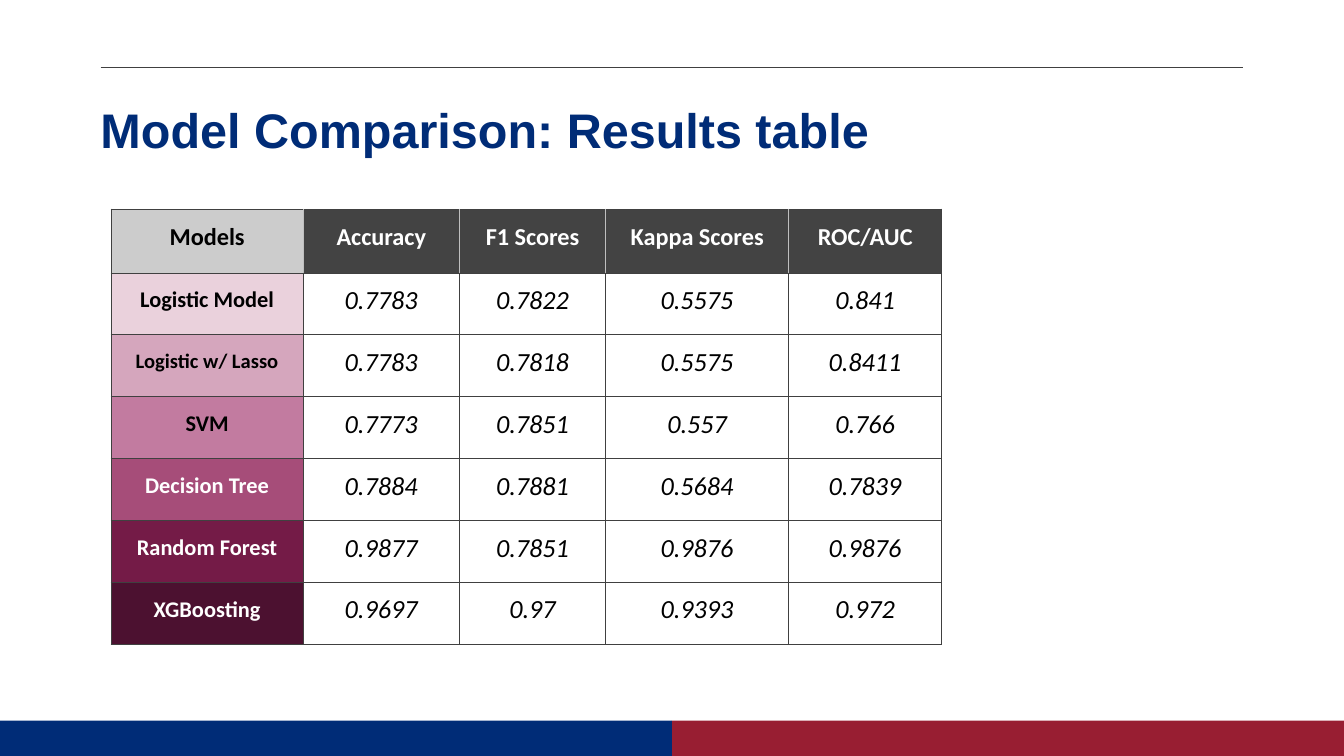
from lxml.etree import SubElement
from pptx import Presentation
from pptx.dml.color import RGBColor
from pptx.enum.shapes import MSO_CONNECTOR as Connector, MSO_SHAPE as Shape
from pptx.enum.text import MSO_ANCHOR as Anchor, PP_ALIGN as Align
from pptx.oxml.ns import qn
from pptx.util import Cm, Pt

NAVY, CRIMSON = "002C77", "981E32"
BLACK, WHITE, CHARCOAL, SILVER = "000000", "FFFFFF", "404040", "BFBFBF"

HEADINGS = ["Models", "Accuracy", "F1 Scores", "Kappa Scores", "ROC/AUC"]
COLUMN_WIDTHS = [3.63, 2.95, 2.77, 3.45, 2.9]
MODELS = [
    ("Logistic Model", 12, BLACK, "EAD1DC", ["0.7783", "0.7822", "0.5575", "0.841"]),
    ("Logistic w/ Lasso", 11, BLACK, "D5A6BD", ["0.7783", "0.7818", "0.5575", "0.8411"]),
    ("SVM", 12, BLACK, "C27BA0", ["0.7773", "0.7851", "0.557", "0.766"]),
    ("Decision Tree", 12, WHITE, "A64D79", ["0.7884", "0.7881", "0.5684", "0.7839"]),
    ("Random Forest", 12, WHITE, "741B47", ["0.9877", "0.7851", "0.9876", "0.9876"]),
    ("XGBoosting", 12, WHITE, "4C1130", ["0.9697", "0.97", "0.9393", "0.972"]),
]


def rgb(value):
    return RGBColor.from_string(value)


def paint(target, colour):
    target.fill.solid()
    target.fill.fore_color.rgb = rgb(colour)


def write(frame, text, size, colour, font="Calibri", bold=False, italic=False,
          align=Align.CENTER, spacing=1.15):
    paragraph = frame.paragraphs[0]
    paragraph.alignment = align
    paragraph.line_spacing = spacing
    run = paragraph.add_run()
    run.text = text
    run.font.name = font
    run.font.size = Pt(size)
    run.font.bold = bold
    run.font.italic = italic
    run.font.color.rgb = rgb(colour)


class ResultsSlide:
    def __init__(self, slide):
        self.shapes = slide.shapes
        self.border_width = Pt(0.5)

    def band(self, left, top, width, height, colour):
        band = self.shapes.add_shape(Shape.RECTANGLE, Cm(left), Cm(top), Cm(width), Cm(height))
        band.shadow.inherit = False
        band.line.fill.background()
        paint(band, colour)

    def rule(self, left, right, y, colour):
        rule = self.shapes.add_connector(Connector.STRAIGHT, Cm(left), Cm(y), Cm(right), Cm(y))
        rule.line.color.rgb = rgb(colour)
        rule.line.width = Pt(0.75)
        SubElement(rule._element.spPr, qn("a:effectLst"))

    def title(self, text, left, top, width, height):
        frame = self.shapes.add_textbox(Cm(left), Cm(top), Cm(width), Cm(height)).text_frame
        frame.word_wrap = True
        frame.vertical_anchor = Anchor.MIDDLE
        frame.margin_left = frame.margin_right = frame.margin_top = frame.margin_bottom = 0
        write(frame, text, 26, NAVY, font="Arial", bold=True, align=Align.LEFT, spacing=1.14)

    def table(self, left, top, widths, heights):
        table = self.shapes.add_table(len(heights), len(widths), Cm(left), Cm(top),
                                      Cm(sum(widths)), Cm(sum(heights))).table
        table.first_row = table.horz_banding = False
        for column, width in zip(table.columns, widths):
            column.width = Cm(width)
        for row, height in zip(table.rows, heights):
            row.height = Cm(height)
        return table

    def cell(self, cell, text, fill, left=CHARCOAL, right=CHARCOAL, **style):
        cell.vertical_anchor = Anchor.MIDDLE
        cell.margin_left = cell.margin_right = cell.margin_top = Cm(0.03)
        cell.margin_bottom = Cm(0.25)
        properties = cell._tc.get_or_add_tcPr()
        for side, colour in (("L", left), ("R", right), ("T", CHARCOAL), ("B", CHARCOAL)):
            border = SubElement(properties, qn(f"a:ln{side}"), w=str(self.border_width))
            SubElement(SubElement(border, qn("a:solidFill")), qn("a:srgbClr"), val=colour)
        paint(cell, fill)
        write(cell.text_frame, text, **style)


def main():
    deck = Presentation()
    deck.slide_width, deck.slide_height = Cm(25.4), Cm(14.29)
    page = ResultsSlide(deck.slides.add_slide(deck.slide_layouts[6]))

    page.band(12.7, 13.62, 12.7, 0.67, CRIMSON)
    page.band(0, 13.62, 12.7, 0.67, NAVY)
    page.rule(1.9, 23.5, 1.27, CHARCOAL)
    page.title("Model Comparison: Results table", 1.9, 1.57, 21.6, 1.57)

    results = page.table(2.1, 3.95, COLUMN_WIDTHS, [1.21] + [1.17] * len(MODELS))
    last = len(HEADINGS) - 1
    for column, heading in enumerate(HEADINGS):
        page.cell(results.cell(0, column), heading, "434343" if column else "CCCCCC",
                  left=SILVER if column else CHARCOAL,
                  right=SILVER if column < last else CHARCOAL,
                  size=13, colour=WHITE if column else BLACK, bold=True)
    for row, (model, size, colour, fill, scores) in enumerate(MODELS, 1):
        page.cell(results.cell(row, 0), model, fill, size=size, colour=colour, bold=True)
        for column, score in enumerate(scores, 1):
            page.cell(results.cell(row, column), score, WHITE, size=14, colour=BLACK, italic=True)

    deck.save("out.pptx")


if __name__ == "__main__":
    main()
